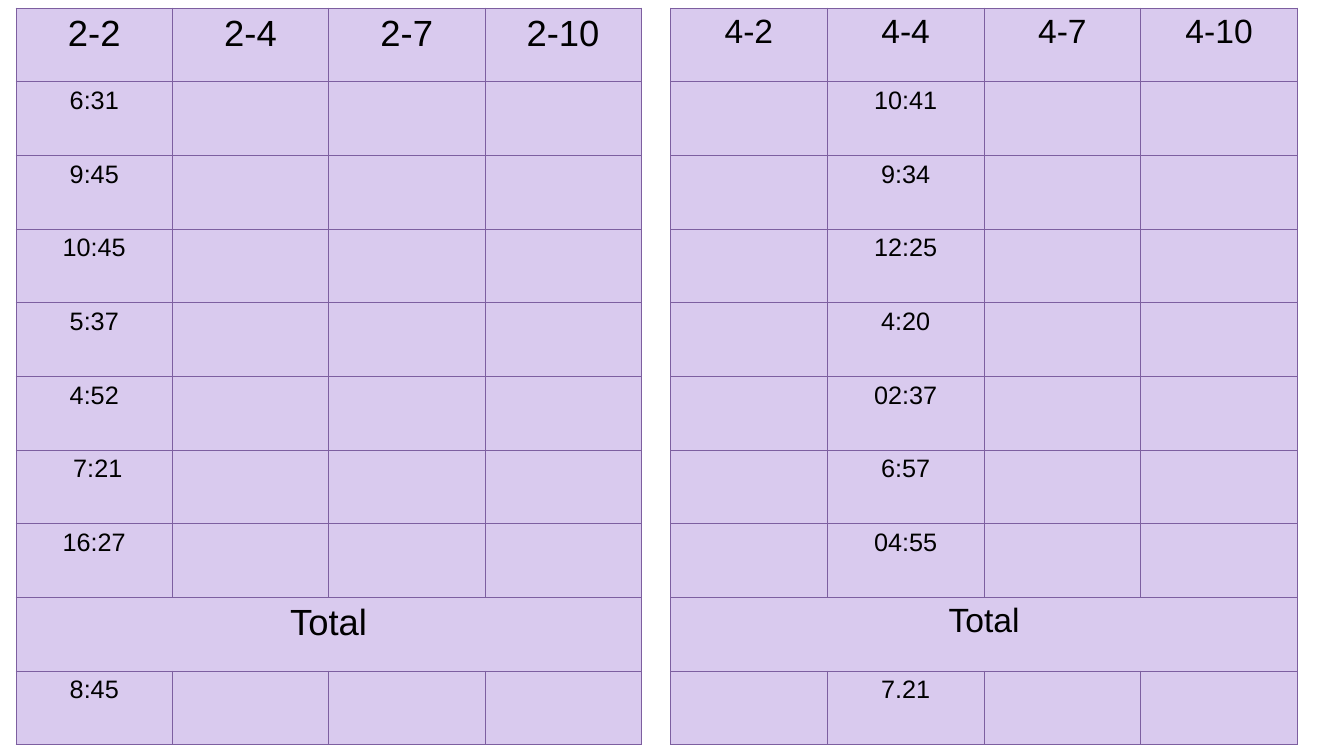
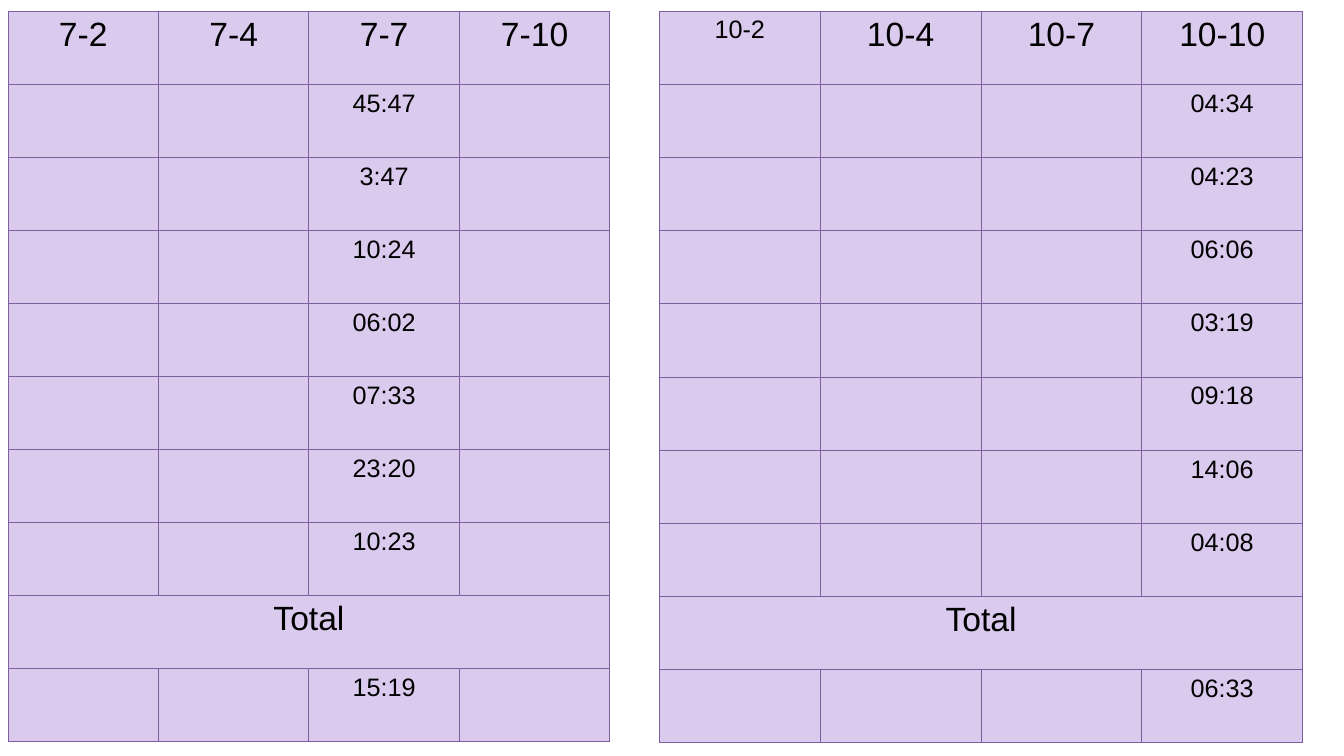
from dataclasses import dataclass

from lxml.etree import SubElement
from pptx import Presentation
from pptx.dml.color import RGBColor
from pptx.enum.text import PP_ALIGN
from pptx.oxml.ns import qn
from pptx.slide import Slide
from pptx.table import _Cell
from pptx.util import Inches, Pt

COLORS = {"cell": "D9CAEE", "border": "7D5FA0", "text": "000000"}
FONT = "Arial"
BORDER_WIDTH = Pt(0.74)
TIME_SIZE = 18
GROUPS = (2, 4, 7, 10)


@dataclass(frozen=True)
class TimeSheet:
    group: int
    left: float
    top: float
    width: float
    height: float
    times: tuple[str, ...]
    total: str
    heading_size: int = 24
    first_heading_size: int = 24


SLIDES = (
    (
        TimeSheet(2, 0.16, 0.08, 6.2, 7.31,
                  ("6:31", "9:45", "10:45", "5:37", "4:52", " 7:21", "16:27"),
                  "8:45", heading_size=26, first_heading_size=26),
        TimeSheet(4, 6.65, 0.08, 6.22, 7.31,
                  ("10:41", "9:34", "12:25", "4:20", "02:37", "6:57", "04:55"),
                  "7.21"),
    ),
    (
        TimeSheet(7, 0.08, 0.11, 5.97, 7.25,
                  ("45:47", "3:47", "10:24", "06:02", "07:33", "23:20", "10:23"),
                  "15:19"),
        TimeSheet(10, 6.54, 0.11, 6.38, 7.26,
                  ("04:34", "04:23", "06:06", "03:19", "09:18", "14:06", "04:08"),
                  "06:33", first_heading_size=TIME_SIZE),
    ),
)


def write_text(cell: _Cell, text: str, *, size: int = TIME_SIZE,
               color: str = "text") -> None:
    paragraph = cell.text_frame.paragraphs[0]
    paragraph.alignment = PP_ALIGN.CENTER
    run = paragraph.add_run()
    run.text = text
    run.font.name = FONT
    run.font.size = Pt(size)
    run.font.color.rgb = RGBColor.from_string(COLORS[color])


def style_cell(cell: _Cell) -> None:
    properties = cell._tc.get_or_add_tcPr()
    for side in ("a:lnL", "a:lnR", "a:lnT", "a:lnB"):
        line = SubElement(properties, qn(side), w=str(int(BORDER_WIDTH)))
        line_fill = SubElement(line, qn("a:solidFill"))
        SubElement(line_fill, qn("a:srgbClr"), val=COLORS["border"])
    cell.fill.solid()
    cell.fill.fore_color.rgb = RGBColor.from_string(COLORS["cell"])


def draw_sheet(slide: Slide, sheet: TimeSheet) -> None:
    row_count = len(sheet.times) + 3
    table = slide.shapes.add_table(
        row_count, len(GROUPS), Inches(sheet.left), Inches(sheet.top),
        Inches(sheet.width), Inches(sheet.height)).table
    table.first_row = False
    table.horz_banding = False
    for cell in table.iter_cells():
        style_cell(cell)

    for column, partner in enumerate(GROUPS):
        size = sheet.heading_size if column else sheet.first_heading_size
        write_text(table.cell(0, column), f"{sheet.group}-{partner}", size=size)

    own_column = GROUPS.index(sheet.group)
    for row, time in enumerate(sheet.times, start=1):
        write_text(table.cell(row, own_column), time)

    total_row = row_count - 2
    total_heading = table.cell(total_row, 0)
    total_heading.merge(table.cell(total_row, len(GROUPS) - 1))
    write_text(total_heading, "Total", size=sheet.heading_size)
    write_text(table.cell(total_row + 1, own_column), sheet.total)


def main() -> None:
    presentation = Presentation()
    presentation.slide_width = Inches(13.33)
    presentation.slide_height = Inches(7.5)
    blank_layout = presentation.slide_layouts[6]
    for sheets in SLIDES:
        slide = presentation.slides.add_slide(blank_layout)
        for sheet in sheets:
            draw_sheet(slide, sheet)
    presentation.save("out.pptx")


main()
